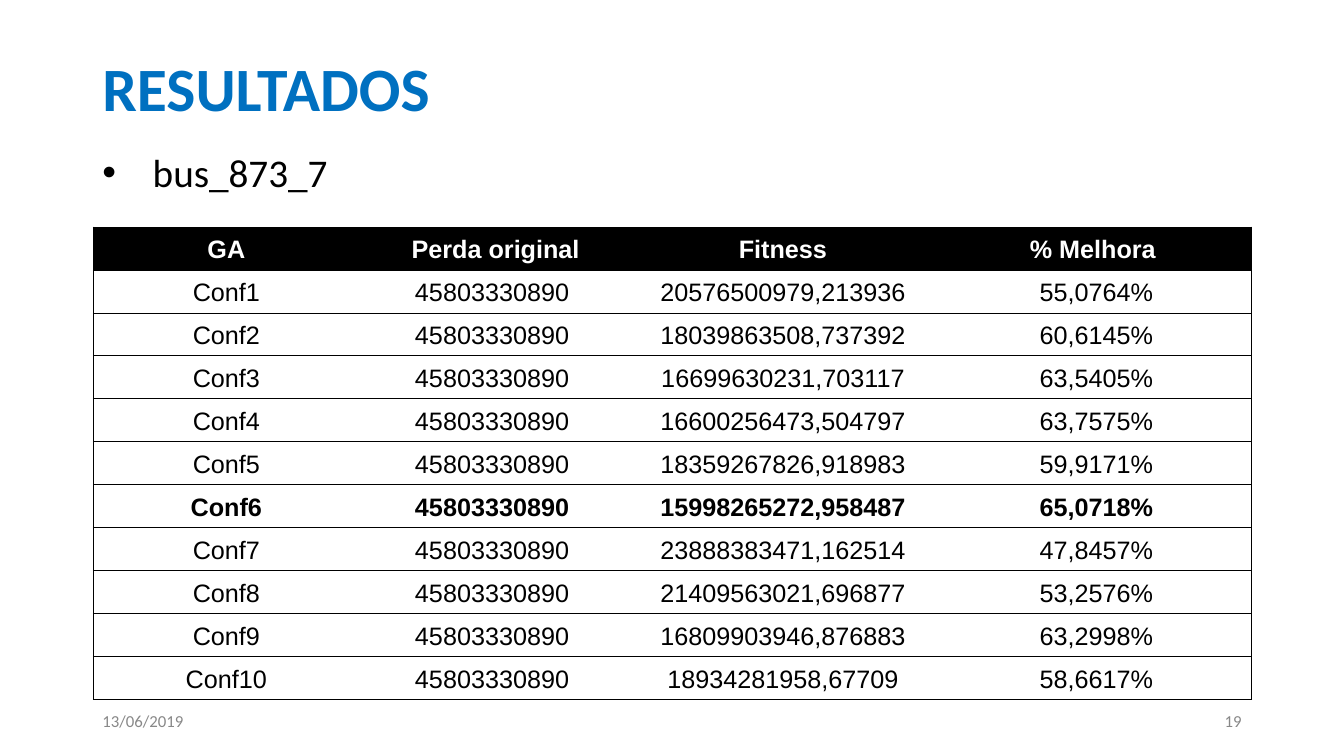
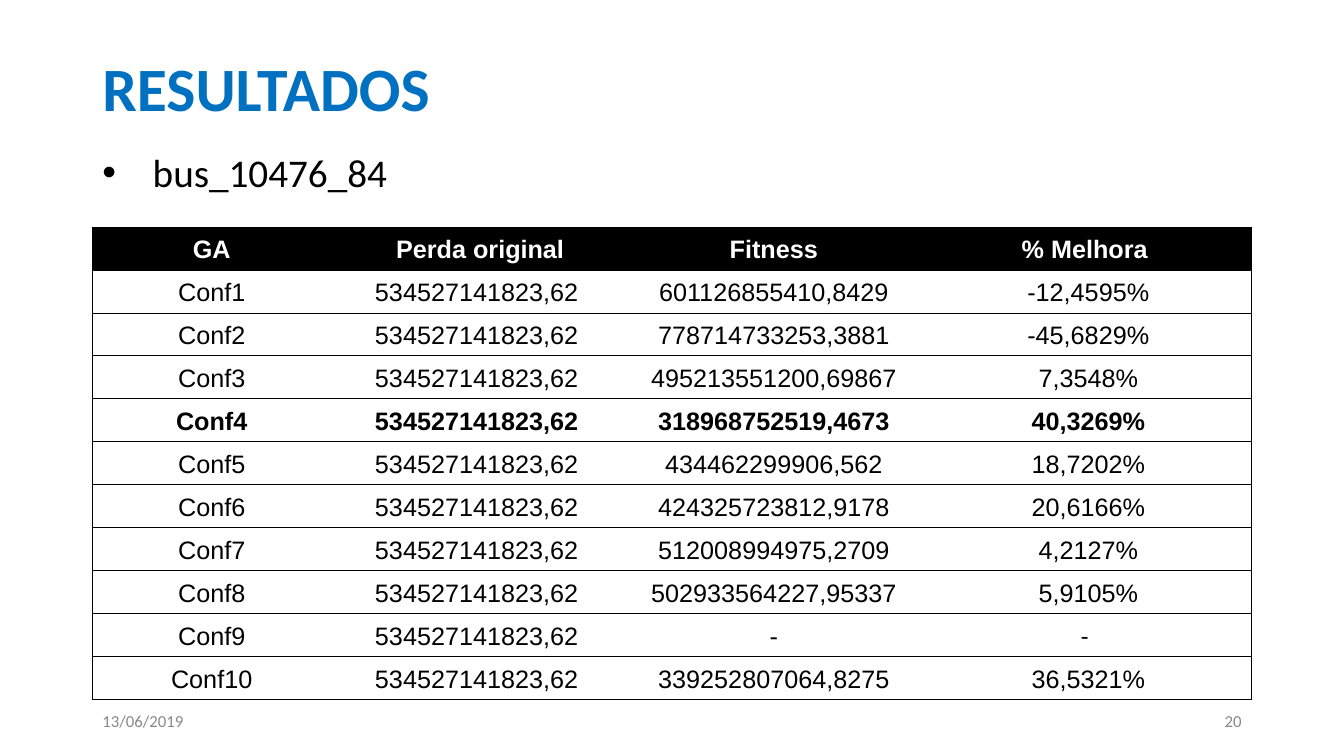
from lxml.etree import SubElement
from pptx import Presentation
from pptx.dml.color import RGBColor
from pptx.enum.text import MSO_ANCHOR as Anchor, PP_ALIGN as Align
from pptx.oxml.ns import qn
from pptx.util import Cm, Pt

HEADERS = ["GA", "Perda original", "Fitness", "% Melhora"]
RESULTS = [
    {
        "case": "bus_873_7", "page": 19, "best": 6, "loss": "45803330890",
        "widths": [6.71, 6.86, 7.62, 8],
        "runs": [
            ("20576500979,213936", "55,0764%"),
            ("18039863508,737392", "60,6145%"),
            ("16699630231,703117", "63,5405%"),
            ("16600256473,504797", "63,7575%"),
            ("18359267826,918983", "59,9171%"),
            ("15998265272,958487", "65,0718%"),
            ("23888383471,162514", "47,8457%"),
            ("21409563021,696877", "53,2576%"),
            ("16809903946,876883", "63,2998%"),
            ("18934281958,67709", "58,6617%"),
        ],
    },
    {
        "case": "bus_10476_84", "page": 20, "best": 4, "loss": "534527141823,62",
        "widths": [5.99, 7.54, 7.26, 8.41],
        "runs": [
            ("601126855410,8429", "-12,4595%"),
            ("778714733253,3881", "-45,6829%"),
            ("495213551200,69867", "7,3548%"),
            ("318968752519,4673", "40,3269%"),
            ("434462299906,562", "18,7202%"),
            ("424325723812,9178", "20,6166%"),
            ("512008994975,2709", "4,2127%"),
            ("502933564227,95337", "5,9105%"),
            ("-", "-"),
            ("339252807064,8275", "36,5321%"),
        ],
    },
]


def color(value):
    """Turn a hex string into a colour."""
    return RGBColor.from_string(value)


class ResultDeck:
    """Hold the shared style and the current slide."""

    BLUE, BLACK, WHITE, GRAY = "0070C0", "000000", "FFFFFF", "888888"
    TEXT_FONT, TABLE_FONT = "Calibri", "Arial"
    LEFT, WIDTH, FOOTER_WIDTH = 2.33, 29.21, 9.1
    TABLE_TOP, TABLE_HEIGHT = 5.72, 11.92
    PLAIN_TABLE = "{2D5ABB26-0587-4C30-8999-92F81FD0307C}"

    def __init__(self):
        """Start an empty wide deck."""
        self.deck = Presentation()
        self.deck.slide_width, self.deck.slide_height = Cm(33.87), Cm(19.05)
        self.page = None

    def add_page(self, number):
        """Add a slide with its title and footer."""
        self.page = self.deck.slides.add_slide(self.deck.slide_layouts[6])
        self.text("RESULTADOS", self.LEFT, 0.76, self.WIDTH, 2.85, 44, self.BLUE, bold=True)
        right = self.LEFT + self.WIDTH - self.FOOTER_WIDTH
        for words, left, align in (("13/06/2019", self.LEFT, Align.LEFT), (str(number), right, Align.RIGHT)):
            self.text(words, left, 17.65, self.FOOTER_WIDTH, 1.02, 12, self.GRAY, align)

    def style(self, para, font, size, shade, bold, align):
        """Format a paragraph and its runs."""
        para.alignment = align
        for span in para.runs:
            span.font.name, span.font.size, span.font.bold = font, Pt(size), bold
            span.font.color.rgb = color(shade)

    def text(self, words, left, top, width, height, size, shade,
             align=Align.LEFT, bold=False, anchor=Anchor.MIDDLE):
        """Add a text box and return its paragraph."""
        box = self.page.shapes.add_textbox(Cm(left), Cm(top), Cm(width), Cm(height))
        frame = box.text_frame
        frame.word_wrap, frame.vertical_anchor = True, anchor
        frame.text = words
        para = frame.paragraphs[0]
        self.style(para, self.TEXT_FONT, size, shade, bold, align)
        return para

    def bullet(self, words):
        """Add the bulleted subject line."""
        para = self.text(words, self.LEFT, 3.61, self.WIDTH, 2.11, 28, self.BLACK,
                         Align.JUSTIFY, anchor=Anchor.TOP)
        props = para._p.get_or_add_pPr()
        props.set("marL", str(Cm(1.27)))
        props.set("indent", str(-Cm(1.27)))
        SubElement(props, qn("a:buFont"), typeface="Arial")
        SubElement(props, qn("a:buChar"), char="•")

    def border(self, cell, sides):
        """Draw thin black lines on the given sides of a cell."""
        for side in sides:
            line = SubElement(cell._tc.get_or_add_tcPr(), qn("a:ln" + side), w=str(Pt(0.75)))
            fill = SubElement(line, qn("a:solidFill"))
            SubElement(fill, qn("a:srgbClr"), val=self.BLACK)

    def cell(self, cell, words, is_header, bold, column):
        """Fill and format one table cell."""
        side, top = (0.24, 0.13) if is_header else (0.02, 0.02)
        cell.margin_left = cell.margin_right = Cm(side)
        cell.margin_top = cell.margin_bottom = Cm(top)
        cell.vertical_anchor = Anchor.MIDDLE
        if is_header:
            cell.fill.solid()
            cell.fill.fore_color.rgb = color(self.BLACK)
        else:
            cell.fill.background()
            if column == 1:
                cell.margin_right = Cm(0.2)
            elif column == 3 and words != "-":
                cell.margin_left = Cm(0.2)
        para = cell.text_frame.paragraphs[0]
        para.text = words
        para.line_spacing = 1.07
        font = self.TEXT_FONT if column == 3 and words == "-" else self.TABLE_FONT
        shade = self.WHITE if is_header else self.BLACK
        self.style(para, font, 18, shade, bold, Align.CENTER)

    def table(self, rows, widths, best):
        """Add a table ruled after every second result."""
        left = self.LEFT + self.WIDTH - sum(widths)
        frame = self.page.shapes.add_table(
            len(rows), len(widths), Cm(left), Cm(self.TABLE_TOP), Cm(sum(widths)), Cm(self.TABLE_HEIGHT))
        table = frame.table
        table._tbl.tblPr.find(qn("a:tableStyleId")).text = self.PLAIN_TABLE
        table.horz_banding = False
        for column, width in zip(table.columns, widths):
            column.width = Cm(width)
        last = len(widths) - 1
        for row, values in enumerate(rows):
            for column, words in enumerate(values):
                sides = [side for side, drawn in (
                    ("L", column == 0), ("R", column == last),
                    ("T", row == 0 or row % 2 == 1), ("B", row % 2 == 0)) if drawn]
                cell = table.cell(row, column)
                self.border(cell, sides)
                self.cell(cell, words, row == 0, row in (0, best), column)


def main():
    """Build and save the result slides."""
    show = ResultDeck()
    for result in RESULTS:
        show.add_page(result["page"])
        show.bullet(result["case"])
        rows = [(f"Conf{number}", result["loss"], *values)
                for number, values in enumerate(result["runs"], 1)]
        show.table([HEADERS, *rows], result["widths"], result["best"])
    show.deck.save("out.pptx")


if __name__ == "__main__":
    main()
